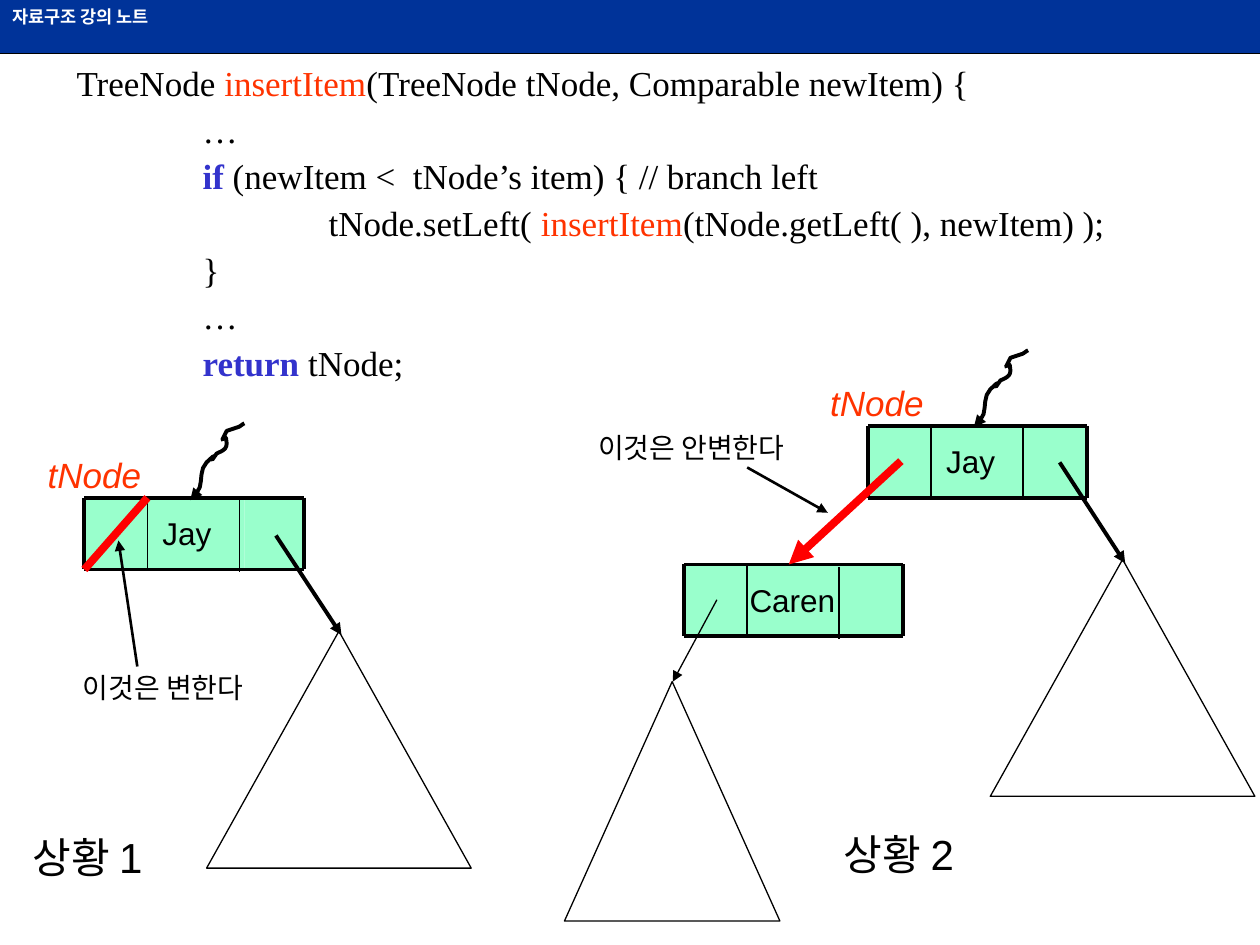
from lxml import etree
from pptx import Presentation
from pptx.dml.color import RGBColor
from pptx.enum.shapes import MSO_CONNECTOR, MSO_SHAPE
from pptx.enum.text import MSO_ANCHOR, MSO_AUTO_SIZE, PP_ALIGN
from pptx.oxml.ns import qn
from pptx.util import Inches, Pt

STRAIGHT = MSO_CONNECTOR.STRAIGHT
RECT, TRIANGLE = MSO_SHAPE.RECTANGLE, MSO_SHAPE.ISOSCELES_TRIANGLE
TOP, LEFT = MSO_ANCHOR.TOP, PP_ALIGN.LEFT
FIT = MSO_AUTO_SIZE.SHAPE_TO_FIT_TEXT
COLORS = {name: RGBColor.from_string(value) for name, value in {
    "black": "000000", "white": "FFFFFF", "banner": "003399", "cell": "99FFCC",
    "red": "FF0000", "call": "FF3300", "keyword": "3333CC"}.items()}


def add_line(shapes, start, end, width, color="black", arrow=False):
    c = shapes.add_connector(STRAIGHT, *map(Inches, start + end))
    c.line.width = Pt(width)
    c.line.color.rgb = COLORS[color]
    if arrow:
        etree.SubElement(c.line._get_or_add_ln(), qn("a:tailEnd"), type="triangle")
    etree.SubElement(c._element.spPr, qn("a:effectLst"))


def add_text(shapes, box, text, size, color="black", italic=False):
    """Add a one-line label that does not wrap."""
    sp = shapes.add_textbox(*map(Inches, box))
    tf = sp.text_frame
    tf.word_wrap = False
    tf.auto_size = FIT
    r = tf.paragraphs[0].add_run()
    r.text = text
    r.font.name, r.font.size, r.font.italic = "Arial", Pt(size), italic
    r.font.color.rgb = COLORS[color]
    return sp


prs = Presentation()
prs.slide_width, prs.slide_height = Inches(10), Inches(7.5)
s = prs.slides.add_slide(prs.slide_layouts[6])

# Banner
add_line(s.shapes, (0, 0.42), (10, 0.42), 1.5)
banner = s.shapes.add_shape(RECT, 0, 0, Inches(10), Inches(0.42))
banner.shadow.inherit = False
banner.fill.solid()
banner.fill.fore_color.rgb = COLORS["banner"]
banner.line.fill.background()
tf = banner.text_frame
tf.vertical_anchor = TOP
p = tf.paragraphs[0]
p.alignment = LEFT
r = p.add_run()
r.text = "자료구조 강의 노트"
r.font.name, r.font.size, r.font.bold = "Arial", Pt(10), True
r.font.color.rgb = COLORS["white"]

# Code
code = [
    [("TreeNode ", "black"), ("insertItem", "call"),
     ("(TreeNode tNode, Comparable newItem) {", "black")],
    [("\t…", "black")],
    [("\t", "black"), ("if", "keyword"),
     (" (newItem <  tNode’s item) { // branch left", "black")],
    [("\t\ttNode.setLeft( ", "black"), ("insertItem", "call"),
     ("(tNode.getLeft( ), newItem) );", "black")],
    [("\t}", "black")],
    [("\t…", "black")],
    [("\t", "black"), ("return", "keyword"), (" tNode;", "black")],
]
tf = s.shapes.add_textbox(Inches(0.51), Inches(0.48), Inches(8.9), Inches(2.62)).text_frame
tf.word_wrap = True
tf.auto_size = FIT
for i, runs in enumerate(code):
    p = tf.add_paragraph() if i else tf.paragraphs[0]
    p.line_spacing = 0.9
    if i:
        p.space_before = Pt(5)
    tabs = etree.SubElement(p._p.get_or_add_pPr(), qn("a:tabLst"))
    for stop in range(1, 8):
        etree.SubElement(tabs, qn("a:tab"), pos=str(Inches(stop)), algn="l")
    for text, color in runs:
        r = p.add_run()
        r.text = text
        r.font.name, r.font.size = "Times New Roman", Pt(20)
        r.font.bold = color == "keyword"
        r.font.color.rgb = COLORS[color]

# Subtrees
for box in [(4.48, 5.41, 1.71, 1.9), (7.86, 4.44, 2.1, 1.88), (1.64, 5.01, 2.1, 1.88)]:
    sp = s.shapes.add_shape(TRIANGLE, *map(Inches, box))
    sp.shadow.inherit = False
    sp.fill.background()
    sp.line.color.rgb = COLORS["black"]
    sp.line.width = Pt(0.75)

# Nodes: three cells, a heavy frame, a label and two dividers
NODE_W, NODE_H = 1.74, 0.57
for x, y, label, label_dx, label_w in [(6.89, 3.38, "Jay", 0.52, 0.59),
                                       (5.43, 4.48, "Caren", 0.42, 0.88),
                                       (0.67, 3.95, "Jay", 0.52, 0.59)]:
    node = s.shapes.add_group_shape().shapes
    right, bottom = x + NODE_W, y + NODE_H
    for dx, w in [(1.27, 0.47), (0.5, 0.77), (0, 0.5)]:
        sp = node.add_shape(RECT, Inches(x + dx), Inches(y), Inches(w), Inches(NODE_H))
        sp.shadow.inherit = False
        sp.fill.solid()
        sp.fill.fore_color.rgb = COLORS["cell"]
        sp.line.fill.background()
    for edge_y in (y, bottom):
        add_line(node, (x, edge_y), (right, edge_y), 2.25)
    for edge_x in (x, right):
        add_line(node, (edge_x, y), (edge_x, bottom), 2.25)
    sp = add_text(node, (x + label_dx, y + 0.08, label_w, 0.4), label, 18)
    sp.fill.solid()
    sp.fill.fore_color.rgb = COLORS["cell"]
    for dx, dy in [(0.5, 0), (1.23, 0.02)]:
        add_line(node, (x + dx, y + dy), (x + dx, bottom + dy), 1)

# Wavy references into the Jay nodes: Bezier pieces relative to the start point
WAVE = [
    [(-0.02, 0.01), (-0.04, 0.03), (-0.05, 0.03)],
    [(-0.08, 0.04), (-0.14, 0.06), (-0.14, 0.06)],
    [(-0.22, 0.23), (-0.14, 0.02), (-0.14, 0.16)],
    [(-0.14, 0.21), (-0.18, 0.22), (-0.22, 0.24)],
    [(-0.32, 0.38), (-0.16, 0.17), (-0.3, 0.31)],
    [(-0.38, 0.39), (-0.3, 0.54), (-0.42, 0.57)],
    [(-0.42, 0.58), (-0.43, 0.61), (-0.43, 0.61)],
]
STEPS = 6
wave_points = []
a = (0, 0)
for b, c, d in WAVE:
    for t in (k / STEPS for k in range(1, STEPS + 1)):
        u = 1 - t
        wave_points.append([u**3 * a[i] + 3 * u * u * t * b[i] + 3 * u * t * t * c[i]
                            + t**3 * d[i] for i in (0, 1)])
    a = d
for x, y in [(8.16, 2.78), (1.94, 3.36)]:
    fb = s.shapes.build_freeform(Inches(x), Inches(y))
    fb.add_line_segments([(Inches(x + dx), Inches(y + dy)) for dx, dy in wave_points],
                         close=False)
    sp = fb.convert_to_shape()
    sp.shadow.inherit = False
    sp.fill.background()
    sp.line.color.rgb = COLORS["black"]
    sp.line.width = Pt(2.25)
    etree.SubElement(sp.line._get_or_add_ln(), qn("a:tailEnd"), type="triangle")

# Links between nodes and subtrees, then pointers from the remarks
for start, end, width, color, arrow in [
    ((7.15, 3.66), (6.26, 4.48), 4.5, "red", True),
    ((8.41, 3.67), (8.93, 4.47), 2.25, "black", True),
    ((5.69, 4.76), (5.34, 5.41), 0.75, "black", True),
    ((2.19, 4.25), (2.71, 5.04), 2.25, "black", True),
    ((1.17, 3.95), (0.67, 4.52), 4.5, "red", False),
    ((1.09, 5.29), (0.94, 4.29), 1.5, "black", True),
    ((5.93, 3.71), (6.57, 4.07), 1.5, "black", True),
]:
    add_line(s.shapes, start, end, width, color, arrow)

# Labels
for x, y in [(6.49, 2.98), (0.28, 3.55)]:
    add_text(s.shapes, (x, y, 0.94, 0.44), "tNode", 20, "call", italic=True)
for box, text, size in [
    ((0.16, 6.55, 1.17, 0.5), "상황 1", 24),
    ((6.6, 6.53, 1.17, 0.5), "상황 2", 24),
    ((0.56, 5.27, 1.48, 0.37), "이것은 변한다", 16),
    ((4.65, 3.37, 1.69, 0.37), "이것은 안변한다", 16),
]:
    add_text(s.shapes, box, text, size)

prs.save("out.pptx")
